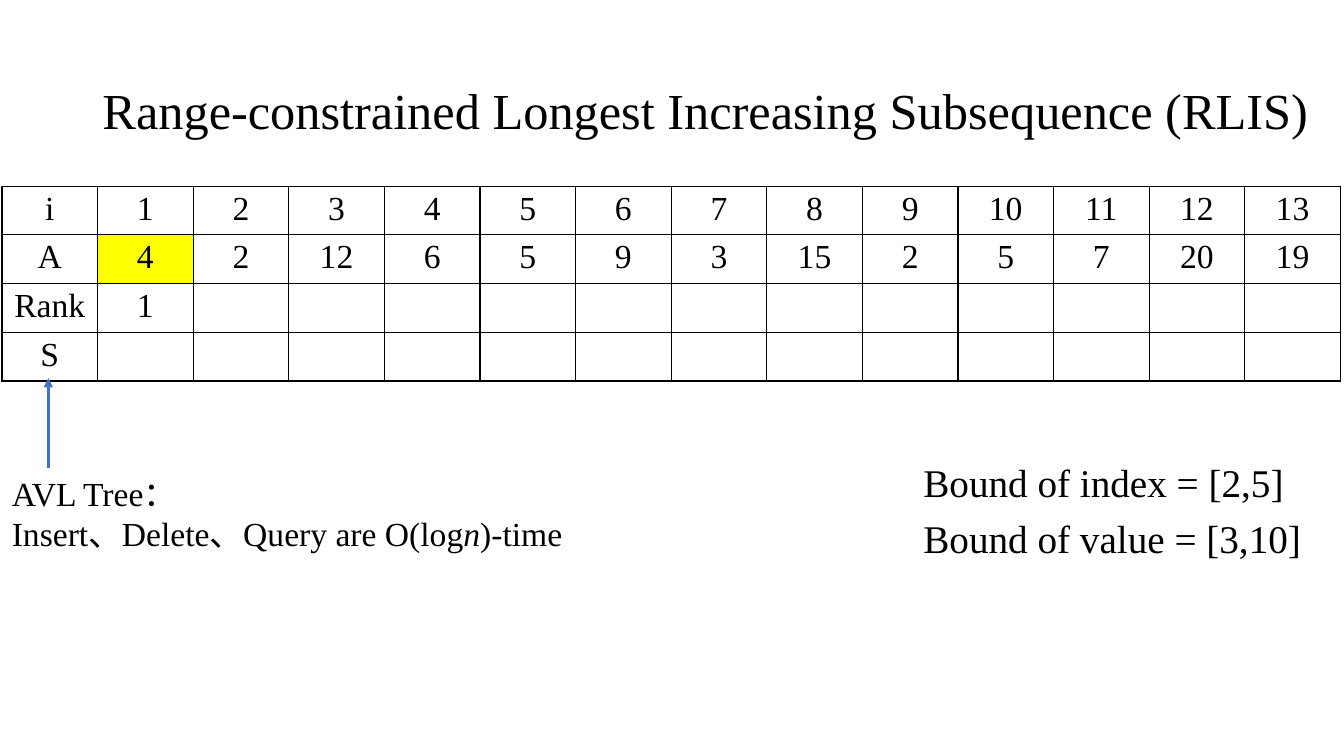
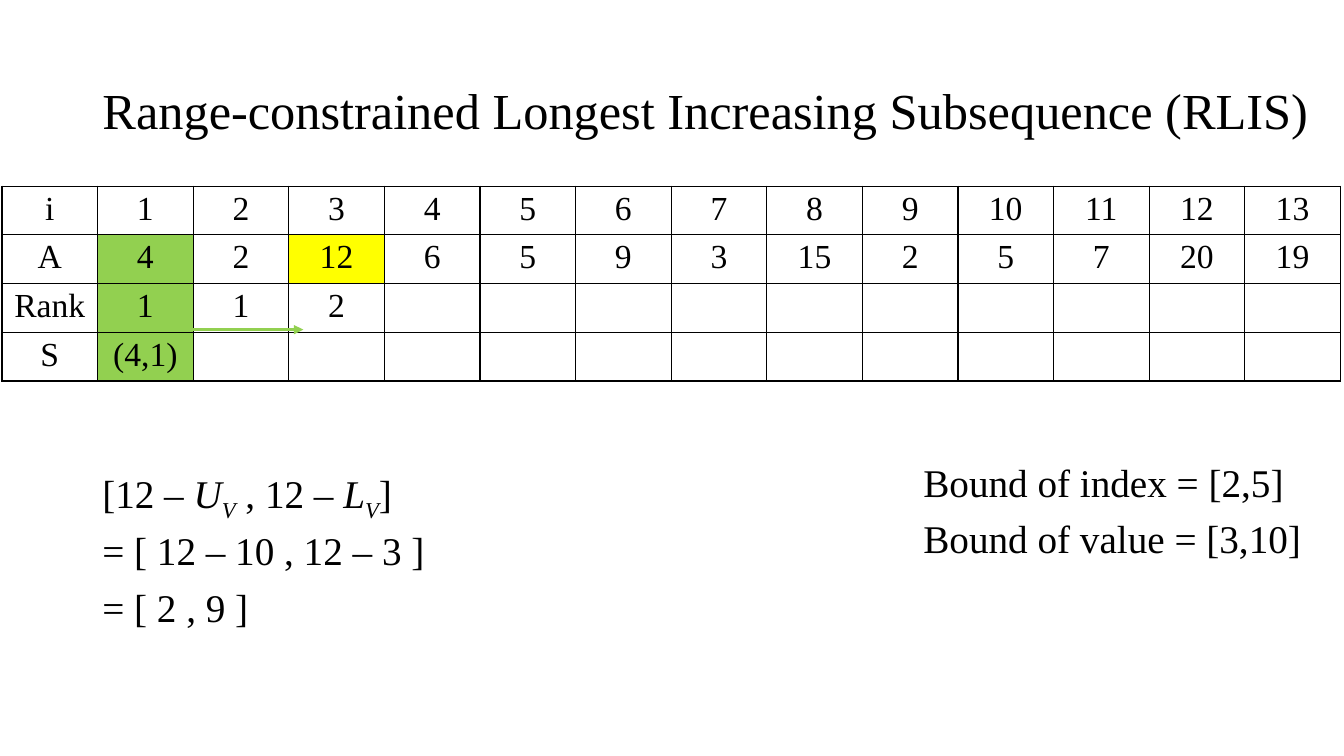
from lxml.etree import SubElement
from pptx import Presentation
from pptx.dml.color import RGBColor
from pptx.enum.shapes import MSO_CONNECTOR
from pptx.enum.text import MSO_ANCHOR, MSO_AUTO_SIZE, PP_ALIGN
from pptx.oxml import parse_xml
from pptx.oxml.ns import nsdecls, qn
from pptx.util import Pt

HUES = {"ink": "000000", "paper": "FFFFFF", "now": "FFFF00",
        "done": "92D050", "blue": "4472C4"}
FONT = "Times New Roman"
TITLE = "Range-constrained Longest Increasing Subsequence (RLIS)"
BOUNDS = ["Bound of index = [2,5]", "Bound of value = [3,10]"]
INDEX = ["i", *range(1, 14)]
VALUES = ["A", 4, 2, 12, 6, 5, 9, 3, 15, 2, 5, 7, 20, 19]
COL, ROW = 68.3, 33.9


def write(frame, paras, size=24, align=PP_ALIGN.LEFT, lead=None, gap=0):
    """Fill a frame; a paragraph is a string or a list of (text, style)."""
    frame.word_wrap = True
    for n, para in enumerate(paras):
        p = frame.add_paragraph() if n else frame.paragraphs[0]
        p.alignment = align
        if lead:
            p.line_spacing = lead
        p.space_before = Pt(gap if n else 0)
        for text, style in [(para, "")] if isinstance(para, str) else para:
            run = p.add_run()
            run.text = text
            font = run.font
            font.name, font.size = FONT, Pt(size)
            font.color.rgb = RGBColor.from_string(HUES["ink"])
            if style:
                font.italic = True
            if style == "sub":
                run._r.get_or_add_rPr().set("baseline", "-25000")


def arrow(slide, ends, hue):
    line = slide.shapes.add_connector(MSO_CONNECTOR.STRAIGHT, *map(Pt, ends))
    line.line.width = Pt(2.25)
    line.line.color.rgb = RGBColor.from_string(HUES[hue])
    SubElement(line.line._get_or_add_ln(), qn("a:tailEnd"), type="triangle")
    SubElement(line._element.spPr, qn("a:effectLst"))


# What each slide shows: table rows, marked cells, notes and arrow
STEPS = [
    dict(
        rank=["Rank", 1], state=["S"], marks={(1, 1): "now"},
        box=(1.4, 334, 443, 66), form=dict(size=24),
        notes=["AVL Tree：",
               [("Insert、Delete、Query are O(log", ""), ("n", "it"),
                (")-time", "")]],
        ends=(34.5, 334, 34.5, 270), hue="blue"),
    dict(
        rank=["Rank", 1, 1, 2], state=["S", "(4,1)"],
        marks={(1, 1): "done", (2, 1): "done", (3, 1): "done",
               (1, 3): "now"},
        box=(66, 332, 560, 150), form=dict(size=28, lead=0.9, gap=10),
        notes=[[("[12 – ", ""), ("U", "it"), ("V", "sub"),
                (" , 12 – ", ""), ("L", "it"), ("V", "sub"), ("]", "")],
               "= [ 12 – 10 , 12 – 3 ]",
               "= [ 2 , 9 ]"],
        ends=(127.5, 235.5, 216.7, 235.5), hue="done"),
]

deck = Presentation()
deck.slide_width, deck.slide_height = Pt(960), Pt(540)

for step in STEPS:
    slide = deck.slides.add_slide(deck.slide_layouts[5])

    # Title
    title = slide.shapes.title
    title.left, title.top, title.width, title.height = map(
        Pt, (66, 29, 886, 104))
    write(title.text_frame, [TITLE], size=36, lead=0.9)
    title.text_frame.vertical_anchor = MSO_ANCHOR.MIDDLE
    title.text_frame.auto_size = MSO_AUTO_SIZE.NONE

    # Notes on the left, bounds on the right
    for box, paras, form in [
            (step["box"], step["notes"], step["form"]),
            ((652.5, 327.5, 300, 79), BOUNDS,
             dict(size=28, lead=0.9, gap=10))]:
        note = slide.shapes.add_textbox(*map(Pt, box))
        write(note.text_frame, paras, **form)

    # Table of the sequence
    rows = [INDEX, VALUES, step["rank"], step["state"]]
    grid = slide.shapes.add_table(
        len(rows), len(INDEX), Pt(1.4), Pt(133),
        Pt(COL * len(INDEX)), Pt(ROW * len(rows))).table
    for col in grid.columns:
        col.width = Pt(COL)
    for r, row in enumerate(rows):
        grid.rows[r].height = Pt(ROW)
        for c in range(len(INDEX)):
            cell = grid.cell(r, c)
            cell.margin_top = cell.margin_bottom = Pt(3)
            if c < len(row):
                write(cell.text_frame, [str(row[c])], align=PP_ALIGN.CENTER)
            props = cell._tc.get_or_add_tcPr()
            for side in "LRTB":
                props.append(parse_xml(
                    f'<a:ln{side} w="12700" {nsdecls("a")}><a:solidFill>'
                    f'<a:srgbClr val="{HUES["ink"]}"/></a:solidFill>'
                    f'</a:ln{side}>'))
            cell.fill.solid()
            hue = step["marks"].get((r, c), "paper")
            cell.fill.fore_color.rgb = RGBColor.from_string(HUES[hue])

    # Arrow over the table
    arrow(slide, step["ends"], step["hue"])

deck.save("out.pptx")
